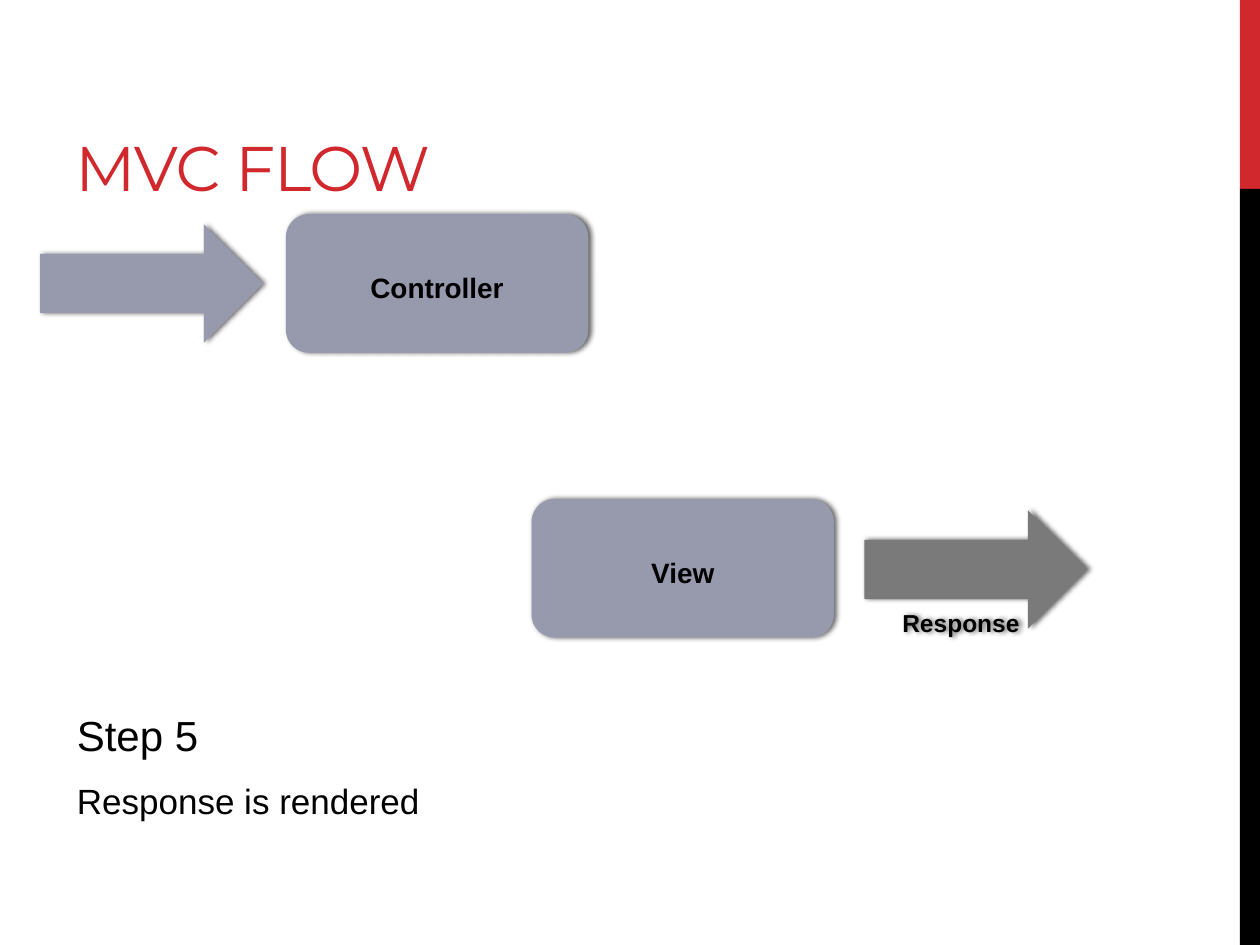
"""Build the MVC flow slide for step 5."""
from lxml import etree
from pptx import Presentation
from pptx.dml.color import RGBColor
from pptx.enum.shapes import MSO_SHAPE
from pptx.enum.text import MSO_ANCHOR, PP_ALIGN
from pptx.oxml import parse_xml
from pptx.util import Pt

RECT = MSO_SHAPE.RECTANGLE
ROUND = MSO_SHAPE.ROUNDED_RECTANGLE
ARROW = MSO_SHAPE.RIGHT_ARROW
TOP, BOTTOM = MSO_ANCHOR.TOP, MSO_ANCHOR.BOTTOM
LEFT, CENTER = PP_ALIGN.LEFT, PP_ALIGN.CENTER

RED, BLACK, SLATE, GRAY = "D1282E", "000000", "9799AD", "7A7A7A"
BARS = [(0, 108, RED), (108, 432, BLACK)]
ARROWS = [(23, 128.2, SLATE), (493.9, 291.6, GRAY)]
BOXES = [("Controller", 163.4, 122.4), ("View", 303.8, 285.1)]
STEPS = [("Step 5", 24, 0), ("Response is rendered", 20, 6)]
SHADOW = (
    '<a:effectLst xmlns:a="http://schemas.openxmlformats.org/drawingml/2006/main">'
    '<a:outerShdw blurRad="38100" dist="19050" dir="0" rotWithShape="0">'
    '<a:srgbClr val="000000"><a:alpha val="60000"/></a:srgbClr>'
    '</a:outerShdw></a:effectLst>'
)


def color(code):
    return RGBColor.from_string(code)


def shade(shape):
    props = shape.element.spPr
    for old in props.findall("{*}effectLst"):
        props.remove(old)
    props.append(parse_xml(SHADOW))


def block(slide, kind, x, y, w, h, fill):
    shape = slide.shapes.add_shape(kind, Pt(x), Pt(y), Pt(w), Pt(h))
    shape.shadow.inherit = False
    shape.fill.solid()
    shape.fill.fore_color.rgb = color(fill)
    shape.line.fill.background()
    return shape


def text_box(slide, x, y, w, h):
    return slide.shapes.add_textbox(Pt(x), Pt(y), Pt(w), Pt(h))


def frame(shape, anchor=TOP, inset=(0, 0, 0, 0)):
    body = shape.text_frame
    body.word_wrap = True
    body.vertical_anchor = anchor
    (body.margin_left, body.margin_top,
     body.margin_right, body.margin_bottom) = map(Pt, inset)
    return body


def write(para, text, size, tint=BLACK, face="Arial", bold=False, align=LEFT):
    para.text = text
    para.alignment = align
    font = para.font
    font.name, font.size, font.bold = face, Pt(size), bold
    font.color.rgb = color(tint)


def main():
    deck = Presentation()
    deck.slide_width, deck.slide_height = Pt(720), Pt(540)
    slide = deck.slides.add_slide(deck.slide_layouts[6])

    for y, h, fill in BARS:
        block(slide, RECT, 708.5, y, 11.5, h, fill)

    title = frame(text_box(slide, 36, 12.2, 455.8, 108), BOTTOM, (7.2, 3.6, 7.2, 3.6))
    head = title.paragraphs[0]
    write(head, "MVC FLOW", 36, RED, "Montserrat")
    head.runs[0].font._element.set("spc", "-60")

    body = frame(text_box(slide, 43.9, 408.5, 586.1, 90.7))
    for i, (text, size, gap) in enumerate(STEPS):
        para = body.add_paragraph() if i else body.paragraphs[0]
        write(para, text, size)
        para.line_spacing = 0.9
        para.space_before, para.space_after = Pt(gap), Pt(8)

    for x, y, fill in ARROWS:
        shade(block(slide, ARROW, x, y, 127.4, 67.7, fill))

    label = text_box(slide, 493.9, 347.2, 110.5, 17)
    shade(label)
    write(frame(label).paragraphs[0], "Response", 14, bold=True, align=CENTER)

    for text, x, y in BOXES:
        box = block(slide, ROUND, x, y, 172.8, 79.2, SLATE)
        shade(box)
        para = frame(box, inset=(7.2, 28.5, 7.2, 3.6)).paragraphs[0]
        write(para, text, 16, bold=True, align=CENTER)

    deck.save("out.pptx")


if __name__ == "__main__":
    main()
